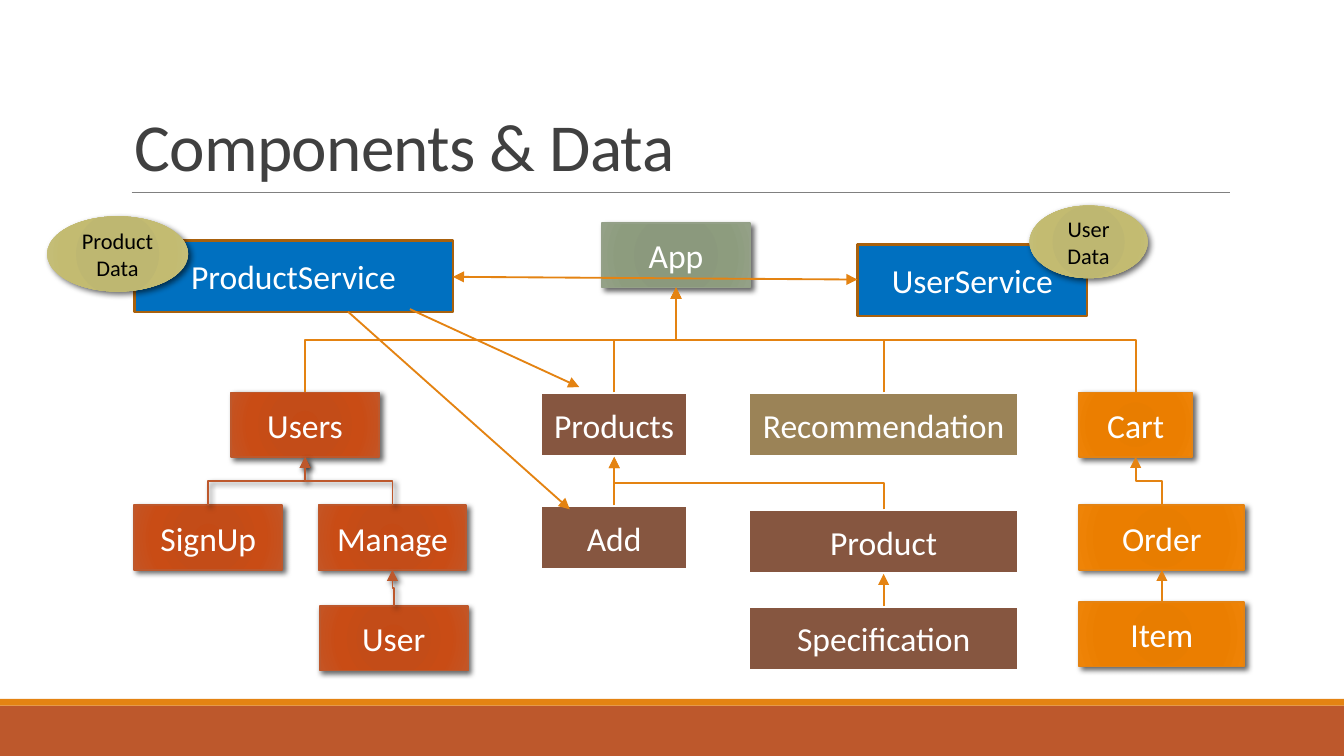
from dataclasses import dataclass

from lxml.etree import SubElement
from pptx import Presentation
from pptx.dml.color import RGBColor
from pptx.enum.shapes import MSO_CONNECTOR as Connector, MSO_SHAPE as Shape
from pptx.enum.text import MSO_ANCHOR as Anchor, PP_ALIGN as Align
from pptx.oxml.ns import qn
from pptx.util import Inches, Pt


@dataclass(frozen=True)
class Theme:
    font: str = "Calibri"
    title_size: int = 36
    box_size: int = 18
    data_size: int = 12
    title: str = "404040"
    rule: str = "808080"
    white: str = "FFFFFF"
    black: str = "000000"
    rust: str = "BD582C"
    orange: str = "E48312"
    sage: str = "94A088"
    brown: str = "865640"
    tan: str = "9B8357"
    blue: str = "0070C0"
    blue_edge: str = "A9610D"
    rust_glow: tuple = ("C44A15", "C34C18", "C94C15", "C45525")
    orange_glow: tuple = ("E57B00", "E87D00", "EB7E00", "EF8407")
    sage_glow: tuple = ("8A987B", "8B997D", "8D9C7E", "94A187")
    olive_glow: tuple = ("BEB76E", "BEB771", "C3BB71", "C5BF7D")


theme = Theme()


def set_effects(shape, blur=None):
    properties = shape._element.spPr
    effects = properties.find(qn("a:effectLst"))
    if effects is None:
        effects = SubElement(properties, qn("a:effectLst"))
    if blur:
        shadow = SubElement(effects, qn("a:outerShdw"), blurRad=str(Pt(blur)),
                            dist=str(Pt(2)), dir="2700000", rotWithShape="0")
        color = SubElement(shadow, qn("a:srgbClr"), val=theme.black)
        SubElement(color, qn("a:alpha"), val="60000")


def add_line(kind, start, end, color, width=1, arrows=(), blur=None):
    line = slide.shapes.add_connector(kind, *map(Inches, start + end))
    line.line.color.rgb = RGBColor.from_string(color)
    line.line.width = Pt(width)
    for arrow in arrows:
        SubElement(line._element.spPr.find(qn("a:ln")), qn(arrow), type="triangle")
    set_effects(line, blur)
    return line


presentation = Presentation()
presentation.slide_width = Inches(10)
presentation.slide_height = Inches(10) * 9 // 16
slide = presentation.slides.add_slide(presentation.slide_layouts[6])

for top, bottom, color in [
    (Inches(5.25), presentation.slide_height, theme.rust),
    (Inches(5.2), Inches(5.25), theme.orange),
]:
    band = slide.shapes.add_shape(Shape.RECTANGLE, 0, top, Inches(10), bottom - top)
    band.shadow.inherit = False
    band.fill.solid()
    band.fill.fore_color.rgb = RGBColor.from_string(color)
    band.line.fill.background()

add_line(Connector.STRAIGHT, (0.98, 1.43), (9.15, 1.43), theme.rule, 0.5)

title = slide.shapes.add_textbox(Inches(0.9), Inches(0.24), Inches(8.25), Inches(1.19))
title.text_frame.word_wrap = True
title.text_frame.vertical_anchor = Anchor.BOTTOM
paragraph = title.text_frame.paragraphs[0]
paragraph.line_spacing = 0.85
run = paragraph.add_run()
run.text = "Components & Data"
run.font.name = theme.font
run.font.size = Pt(theme.title_size)
run.font.color.rgb = RGBColor.from_string(theme.title)
run._r.get_or_add_rPr().set("spc", "-38")

styles = {
    "users": (theme.rust_glow, theme.rust, 1, 3),
    "app": (theme.sage_glow, theme.sage, 1, 3),
    "cart": (theme.orange_glow, theme.orange, 1, 3),
    "products": (theme.brown, theme.white, 2, None),
    "recommendation": (theme.tan, theme.white, 2, None),
    "service": (theme.blue, theme.blue_edge, 1.25, None),
    "data": (theme.olive_glow, None, 0, 3.5),
}
boxes = {
    "App": ("app", 4.48, 1.66, 1.1, 0.48),
    "Users": ("users", 1.72, 2.92, 1.1, 0.48),
    "SignUp": ("users", 1, 3.76, 1.1, 0.48),
    "Manage": ("users", 2.37, 3.76, 1.1, 0.48),
    "User": ("users", 2.38, 4.51, 1.1, 0.48),
    "Products": ("products", 4.02, 2.92, 1.1, 0.48),
    "Add": ("products", 4.02, 3.76, 1.1, 0.48),
    "Recommendation": ("recommendation", 5.57, 2.92, 2.01, 0.48),
    "Product": ("products", 5.57, 3.79, 2.01, 0.48),
    "Specification": ("products", 5.57, 4.51, 2.01, 0.48),
    "Cart": ("cart", 8.03, 2.92, 0.84, 0.48),
    "Order": ("cart", 8.03, 3.76, 1.23, 0.48),
    "Item": ("cart", 8.03, 4.48, 1.23, 0.48),
    "UserService": ("service", 6.38, 1.82, 1.71, 0.53),
    "ProductService": ("service", 1, 1.79, 2.37, 0.53),
    "User\nData": ("data", 7.66, 1.53, 0.88, 0.54),
    "Product\nData": ("data", 0.35, 1.61, 1.05, 0.56),
}
for label, (style, *place) in boxes.items():
    fill, edge, edge_width, blur = styles[style]
    is_data = style == "data"
    box = slide.shapes.add_shape(Shape.OVAL if is_data else Shape.RECTANGLE, *map(Inches, place))
    box.shadow.inherit = False
    set_effects(box, blur)
    if isinstance(fill, tuple):
        box.fill.gradient()
        gradient = box._element.spPr.find(qn("a:gradFill"))
        for child in list(gradient):
            gradient.remove(child)
        stops = SubElement(gradient, qn("a:gsLst"))
        for position, color in zip((0, 34, 70, 100), fill):
            stop = SubElement(stops, qn("a:gs"), pos=str(position * 1000))
            SubElement(stop, qn("a:srgbClr"), val=color)
        circle = SubElement(gradient, qn("a:path"), path="circle")
        SubElement(circle, qn("a:fillToRect"), {side: "100000" for side in "ltrb"})
    else:
        box.fill.solid()
        box.fill.fore_color.rgb = RGBColor.from_string(fill)
    if edge:
        box.line.color.rgb = RGBColor.from_string(edge)
        box.line.width = Pt(edge_width)
    else:
        box.line.fill.background()
    frame = box.text_frame
    frame.text = label
    frame.word_wrap = False
    frame.vertical_anchor = Anchor.MIDDLE
    for paragraph in frame.paragraphs:
        paragraph.alignment = Align.CENTER
        paragraph.font.name = theme.font
        paragraph.font.size = Pt(theme.data_size if is_data else theme.box_size)
        paragraph.font.color.rgb = RGBColor.from_string(theme.black if is_data else theme.white)

children = {
    "App": ["Products", "Users", "Recommendation", "Cart"],
    "Products": ["Add", "Product"],
    "Product": ["Specification"],
    "Users": ["SignUp", "Manage"],
    "Manage": ["User"],
    "Cart": ["Order"],
    "Order": ["Item"],
}
for parent, names in children.items():
    _, left, top, width, height = boxes[parent]
    end_x, end_y = left + width / 2, top + height
    for name in names:
        style, left, start_y, width, _ = boxes[name]
        start_x = left + width / 2
        in_users = style == "users" and parent != "App"
        side = 1 if end_x >= start_x else -1
        middle_x, middle_y = (start_x + end_x) / 2, (start_y + end_y) / 2
        rise, reach = side * (start_y - end_y) / 2, abs(end_x - start_x) / 2
        elbow = add_line(Connector.ELBOW, (middle_x + rise, middle_y + reach),
                         (middle_x - rise, middle_y - reach),
                         theme.rust if in_users else theme.orange,
                         arrows=["a:tailEnd"], blur=3 if in_users else None)
        elbow._element.spPr.find(qn("a:xfrm")).set("rot", str((90 if side > 0 else 270) * 60000))

for start, end, arrows in [
    ((2.59, 2.32), (4.24, 3.79), ["a:tailEnd"]),
    ((3.05, 2.3), (4.31, 2.88), ["a:tailEnd"]),
    ((3.37, 2.06), (6.38, 2.08), ["a:headEnd", "a:tailEnd"]),
]:
    add_line(Connector.STRAIGHT, start, end, theme.orange, arrows=arrows)

presentation.save("out.pptx")
